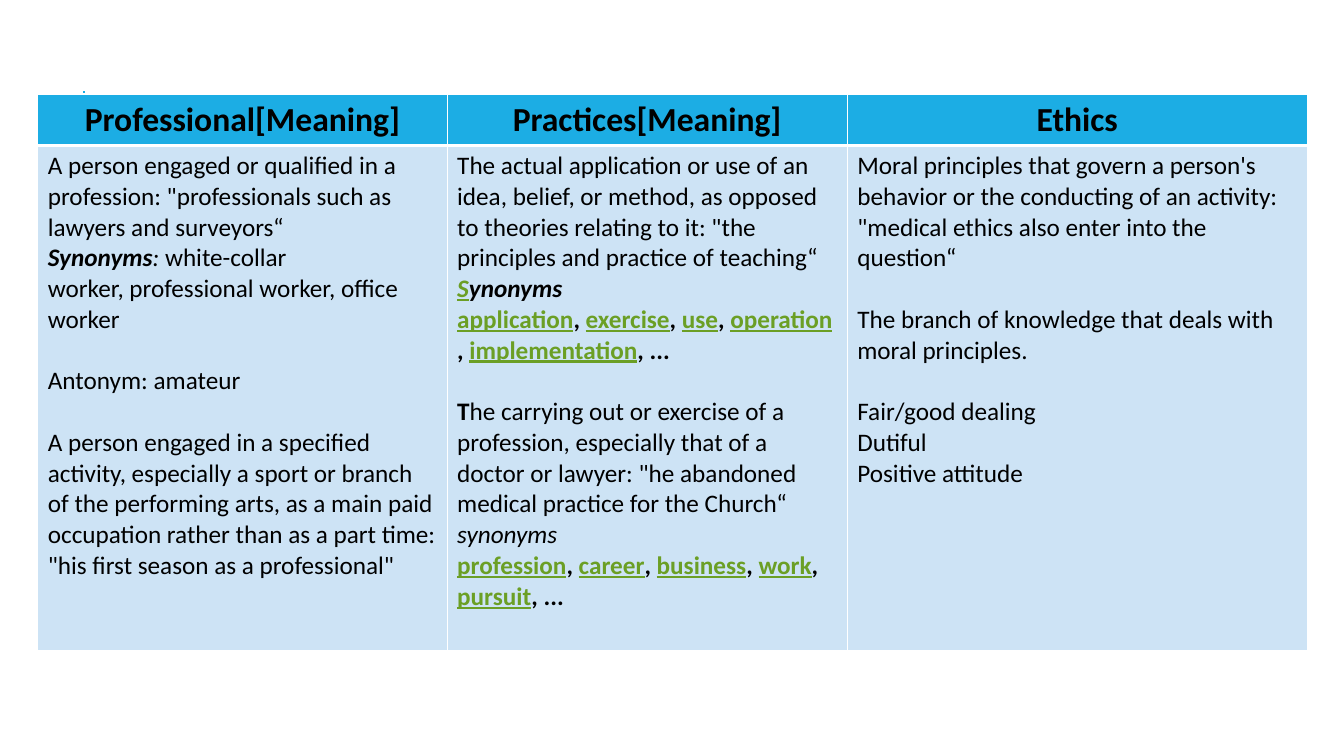
from pptx import Presentation
from pptx.dml.color import RGBColor
from pptx.enum.shapes import MSO_CONNECTOR as Connector
from pptx.enum.text import PP_ALIGN as Align
from pptx.util import Pt
from lxml.etree import SubElement
from pptx.oxml.ns import qn

BLUE = RGBColor(0x1C, 0xAD, 0xE4)
PALE = RGBColor(0xCD, 0xE3, 0xF5)
GREEN = RGBColor(0x6B, 0x9F, 0x25)
BLACK = RGBColor(0, 0, 0)
WHITE = RGBColor(0xFF, 0xFF, 0xFF)
FONT = "Calibri"
HEAD_SIZE, BODY_SIZE, GAP = 24, 18, 22
NO_BREAK_SPACE = chr(160)  # written as ~ in the content


def synonym_runs(words):
    """Bold green underlined words with bold black separators."""
    runs = []
    for word in words:
        runs += [(word, "bu"), (",~", "b")]
    return runs[:-1] + [(",~...", "b")]


# Content: a paragraph is (starts a new group, runs); a run is (text, style),
# with b bold, i italic, u green and underlined
HEADINGS = ["Professional[Meaning]", "Practices[Meaning]", "Ethics"]
PROFESSIONAL = [
    (False, [('A person engaged or qualified in a profession: '
              '"professionals~such as lawyers and surveyors“', "")]),
    (False, [("Synonyms", "bi"), (": ", "i"),
             ("white-collar worker,~professional~worker,~office worker", "")]),
    (True, [("Antonym: amateur", "")]),
    (True, [("A person engaged in a specified activity, especially a sport or "
             "branch of the performing arts, as a main paid occupation rather "
             "than as a part time:", "")]),
    (False, [('"his first season as a~professional"', "")]),
]
PRACTICES = [
    (False, [('The actual application or use of an idea, belief, or method, as '
              'opposed to theories relating to it: "the principles and~'
              'practice~of teaching“', "")]),
    (False, [("S", "biu"), ("ynonyms ", "bi")] + synonym_runs(
        ["application", "exercise", "use", "operation", "implementation"])),
    (True, [("T", "b"),
            ('he carrying out or exercise of a profession, especially that of a '
             'doctor or lawyer: "he abandoned medical~practice~for the Church“ ', ""),
            ("synonyms ", "i")] + synonym_runs(
        ["profession", "career", "business", "work", "pursuit"])),
]
ETHICS = [
    (False, [("Moral principles that govern a person's behavior or the "
              "conducting of an activity:", "")]),
    (False, [('"medical~ethics~also enter into the question“', "")]),
    (True, [("The branch of knowledge that deals with moral principles.", "")]),
    (True, [("Fair/good dealing", "")]),
    (False, [("Dutiful", "")]),
    (False, [("Positive attitude", "")]),
]
BODIES = [PROFESSIONAL, PRACTICES, ETHICS]

# Geometry in points
TABLE_LEFT, TABLE_TOP = 27, 67.2
COLUMN_WIDTHS = [292.4, 285.8, 328.6]
ROW_HEIGHTS = [36.7, 360.7]
RULE_X, RULE_TOP, RULE_BOTTOM = 60, 64.8, 136.8
HEAD_EDGE = 3


def add_span(para, text, size, style):
    span = para.add_run()
    span.text = text.replace("~", NO_BREAK_SPACE)
    font = span.font
    font.name, font.size = FONT, Pt(size)
    font.bold, font.italic, font.underline = (mark in style for mark in "biu")
    font.color.rgb = GREEN if "u" in style else BLACK


def format_cell(cell, color, edge):
    """Fill the cell and draw the thick white edge shared by both rows."""
    properties = cell._tc.get_or_add_tcPr()
    line = SubElement(properties, qn(edge), w=str(Pt(HEAD_EDGE)))
    SubElement(SubElement(line, qn("a:solidFill")), qn("a:srgbClr"), val=str(WHITE))
    cell.fill.solid()
    cell.fill.fore_color.rgb = color
    properties.insert(0, line)


deck = Presentation()
deck.slide_width, deck.slide_height = Pt(960), Pt(540)
page = deck.slides.add_slide(deck.slide_layouts[6])

# Accent rule behind the table
rule = page.shapes.add_connector(Connector.STRAIGHT, Pt(RULE_X), Pt(RULE_BOTTOM),
                                 Pt(RULE_X), Pt(RULE_TOP))
rule.line.color.rgb = BLUE
rule.line.width = Pt(1.5)
SubElement(rule._element.spPr, qn("a:effectLst"))

# Table of meanings
table = page.shapes.add_table(
    len(ROW_HEIGHTS), len(COLUMN_WIDTHS), Pt(TABLE_LEFT), Pt(TABLE_TOP),
    Pt(sum(COLUMN_WIDTHS)), Pt(sum(ROW_HEIGHTS))).table
for row, height in zip(table.rows, ROW_HEIGHTS):
    row.height = Pt(height)

for index, (heading, body) in enumerate(zip(HEADINGS, BODIES)):
    table.columns[index].width = Pt(COLUMN_WIDTHS[index])

    head_cell = table.cell(0, index)
    format_cell(head_cell, BLUE, "a:lnB")
    head_para = head_cell.text_frame.paragraphs[0]
    head_para.alignment = Align.CENTER
    add_span(head_para, heading, HEAD_SIZE, "b")

    body_cell = table.cell(1, index)
    format_cell(body_cell, PALE, "a:lnT")
    frame = body_cell.text_frame
    for number, (new_group, runs) in enumerate(body):
        para = frame.add_paragraph() if number else frame.paragraphs[0]
        if new_group:
            para.space_before = Pt(GAP)
        for text, style in runs:
            add_span(para, text, BODY_SIZE, style)

deck.save("out.pptx")
